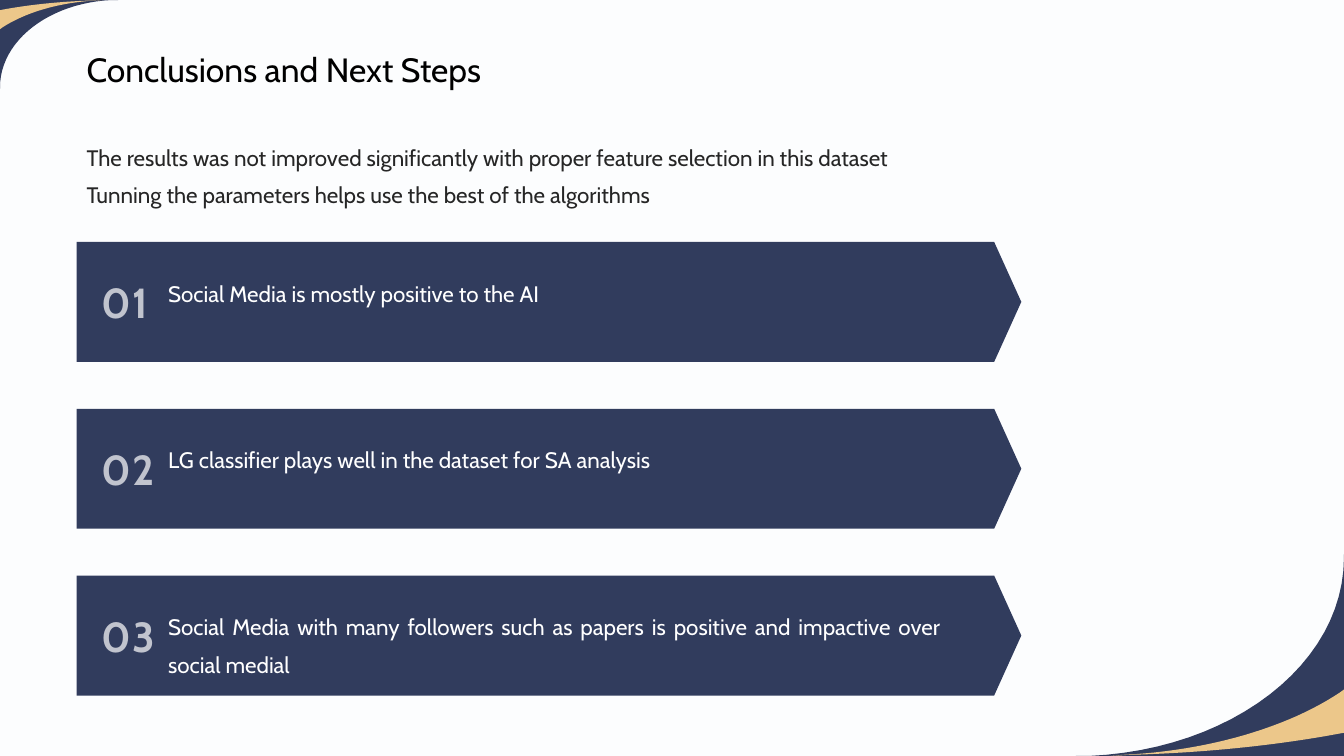
from pptx import Presentation
from pptx.dml.color import RGBColor
from pptx.enum.shapes import MSO_SHAPE
from pptx.enum.text import MSO_ANCHOR, PP_ALIGN
from pptx.util import Inches, Pt

WIDTH, HEIGHT = 13.33, 7.5
NAVY, GOLD, WHITE, INK = "313C5D", "ECC78A", "FFFFFF", "262626"
PAPER, BLACK, PALE = "FCFDFE", "000000", "C1C4CE"

LEFT = 0.76
BAR_TOP, BAR_PITCH, BAR_WIDTH, BAR_HEIGHT = 2.4, 1.655, 9.37, 1.19

RESULTS = [
    "The results was not improved significantly with proper feature selection in this dataset",
    "Tunning the parameters helps use the best of the algorithms",
]
CONCLUSIONS = [
    "Social Media is mostly positive to the AI",
    "LG classifier plays well in the dataset for SA analysis",
    "Social Media with many followers such as papers is positive and impactive over social medial",
]

TITLE = {"size": 24, "color": BLACK, "align": PP_ALIGN.LEFT, "line_spacing": 0.9}
BODY = {"size": 16, "color": INK, "align": PP_ALIGN.JUSTIFY, "line_spacing": 1.4}
BAR_TEXT = {**BODY, "color": WHITE}
NUMBER = {"size": 30, "color": PALE, "align": PP_ALIGN.LEFT, "bold": True,
          "tracking": 100, "anchor": MSO_ANCHOR.MIDDLE, "wrap": False}

# Corner outlines: distances from the slide corner; six numbers make a curve
SWOOSH = [(0, 2), (0, 0), (2.66, 0), (2.53, 0), (1.12, 0.06, 0, 0.91, 0, 1.97)]
RIBBON = [(0, 0.66), (0, 0.23), (0.11, 0.21), (0.72, 0.1, 1.41, 0.03, 2.15, 0.01),
          (2.31, 0), (2.21, 0.01), (1.33, 0.05, 0.55, 0.29, 0.04, 0.63)]


def paint(fill, color):
    fill.solid()
    fill.fore_color.rgb = RGBColor.from_string(color)


def finish(shape, color):
    paint(shape.fill, color)
    shape.line.fill.background()
    shape.shadow.inherit = False


def write(shape, lines, look):
    frame = shape.text_frame
    frame.word_wrap = look.get("wrap", True)
    frame.vertical_anchor = look.get("anchor", MSO_ANCHOR.TOP)
    frame.text = "\n".join(lines)
    for paragraph in frame.paragraphs:
        paragraph.alignment = look["align"]
        paragraph.line_spacing = look.get("line_spacing", 1.0)
        run = paragraph.runs[0]
        font = {"name": "Cabin", "size": Pt(look["size"]), "bold": look.get("bold", False)}
        for key, value in font.items():
            setattr(run.font, key, value)
        paint(run.font.fill, look["color"])
        if "tracking" in look:
            run.font._element.set("spc", str(look["tracking"]))


def add_text(slide, place, lines, look):
    write(slide.shapes.add_textbox(*map(Inches, place)), lines, look)


def trace(outline, steps=24):
    """Turn lines and cubic curves into a list of points."""
    points = []
    for part in outline:
        if len(part) == 2:
            points.append(part)
            continue
        start, knots = points[-1], (part[:2], part[2:4], part[4:])
        for step in range(1, steps + 1):
            t = step / steps
            weights = ((1 - t) ** 3, 3 * t * (1 - t) ** 2, 3 * t * t * (1 - t), t ** 3)
            points.append(tuple(sum(w * knot[axis] for w, knot in zip(weights, (start, *knots)))
                                for axis in (0, 1)))
    return points


def add_corner(slide, corner_x, corner_y, scale):
    for outline, color in ((SWOOSH, NAVY), (RIBBON, GOLD)):
        points = [(Inches(corner_x + scale * x), Inches(corner_y + scale * y))
                  for x, y in trace(outline)]
        builder = slide.shapes.build_freeform(*points[0], scale=1.0)
        builder.add_line_segments(points[1:], close=True)
        finish(builder.convert_to_shape(), color)


def add_bar(slide, index, conclusion):
    top = BAR_TOP + index * BAR_PITCH
    bar = slide.shapes.add_shape(
        MSO_SHAPE.PENTAGON, *map(Inches, (LEFT, top, BAR_WIDTH, BAR_HEIGHT)))
    bar.adjustments[0] = 0.226
    finish(bar, NAVY)
    add_text(slide, (LEFT + 0.15, top + 0.29, 0.73, 0.61), [f"{index + 1:02}"], NUMBER)
    add_text(slide, (LEFT + 0.81, top + 0.22, 7.86, 0.85), [conclusion], BAR_TEXT)


def main():
    deck = Presentation()
    deck.slide_width, deck.slide_height = Inches(WIDTH), Inches(HEIGHT)
    slide = deck.slides.add_slide(deck.slide_layouts[5])

    # Background and corners
    paint(slide.background.fill, PAPER)
    add_corner(slide, 0, 0, 0.44)
    add_corner(slide, WIDTH, HEIGHT, -1)

    # Title and results
    title = slide.shapes.title
    place = {"left": LEFT, "top": 0.48, "width": 10.45, "height": 0.36}
    for side, length in place.items():
        setattr(title, side, Inches(length))
    write(title, ["Conclusions and Next Steps"], TITLE)
    add_text(slide, (LEFT, 1.27, 11.81, 0.85), RESULTS, BODY)

    # Numbered conclusions
    for index, conclusion in enumerate(CONCLUSIONS):
        add_bar(slide, index, conclusion)

    deck.save("out.pptx")


if __name__ == "__main__":
    main()
